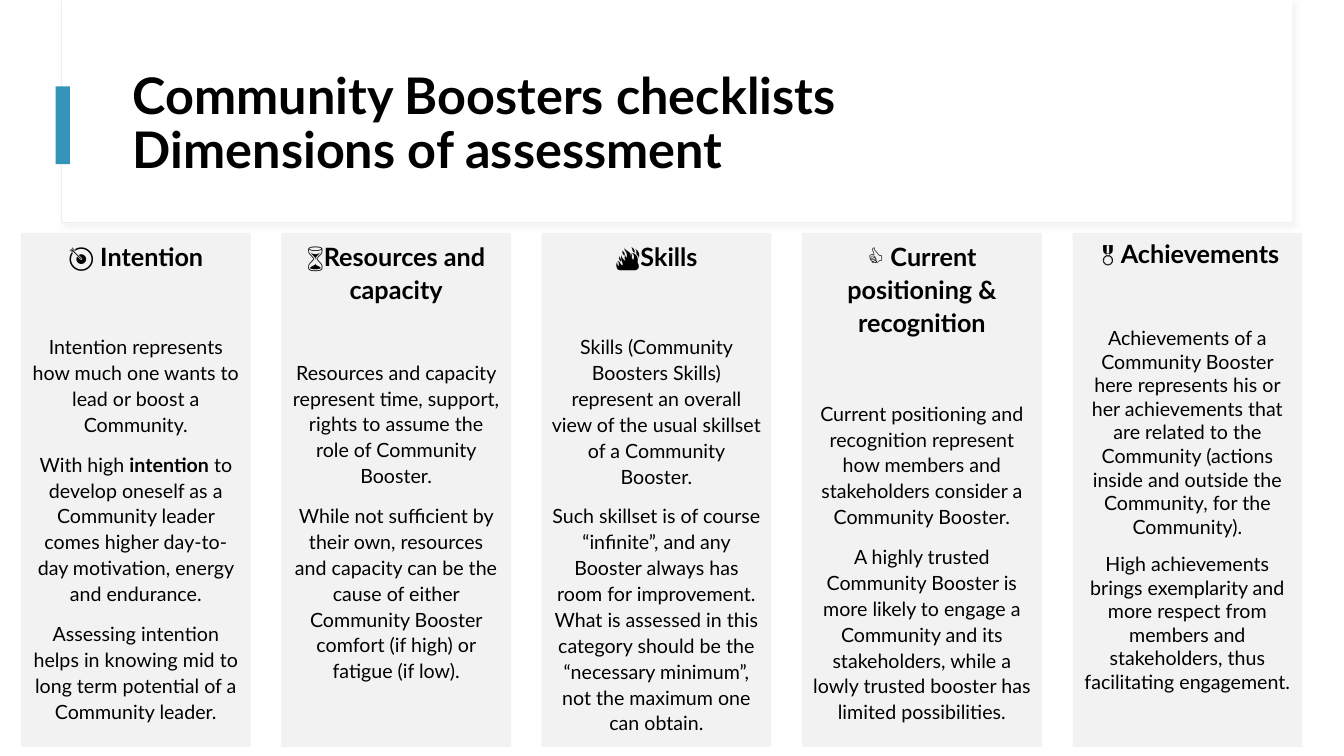
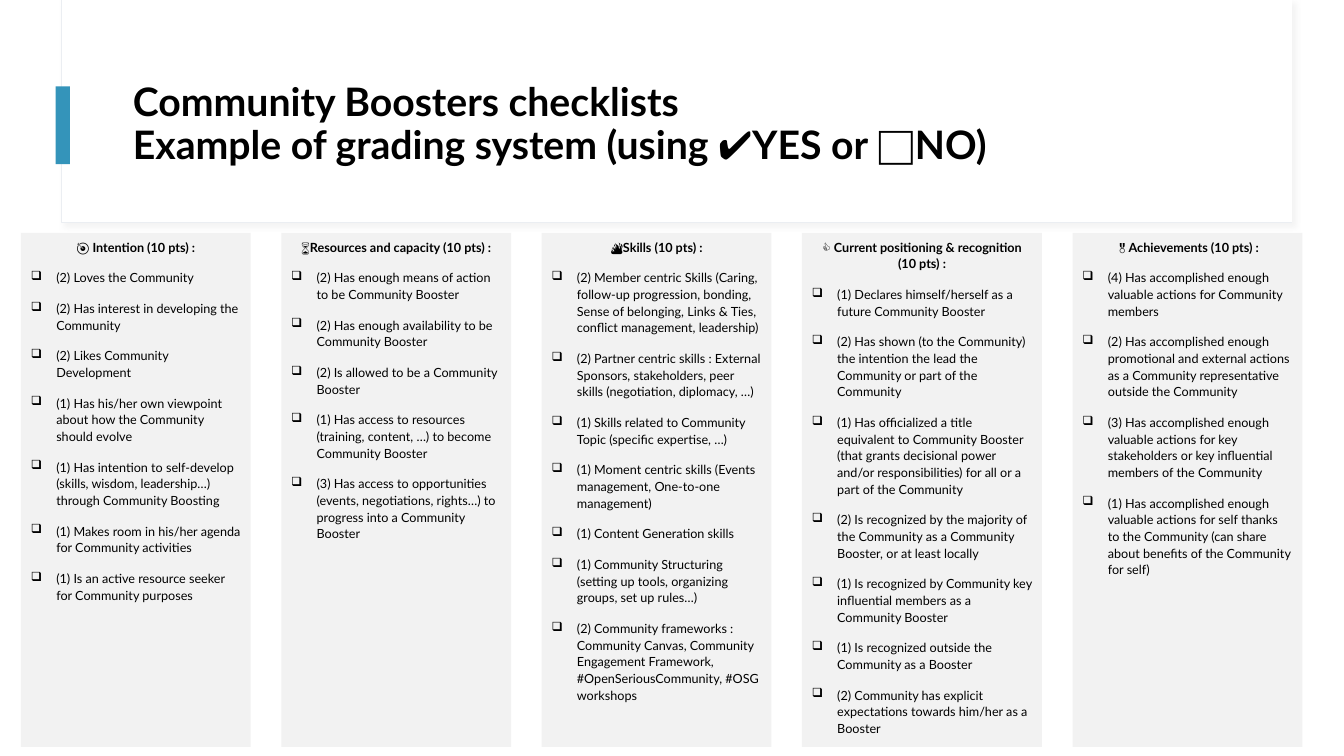
from dataclasses import dataclass

from lxml import etree
from pptx import Presentation
from pptx import util as u
from pptx.dml.color import RGBColor
from pptx.enum import shapes, text
from pptx.oxml import ns

FONT = "Lato"
BLACK = RGBColor(0x00, 0x00, 0x00)
WHITE = RGBColor(0xFF, 0xFF, 0xFF)
ACCENT = RGBColor(0x34, 0x94, 0xBA)
PANEL = RGBColor(0xF2, 0xF2, 0xF2)
FRAME = RGBColor(0xEB, 0xEE, 0xF2)
SHADOW = RGBColor(0xD9, 0xD9, 0xD9)

# Column grid, in centimetres
COLUMN_LEFT, COLUMN_TOP, COLUMN_HEIGHT, COLUMN_GAP = 0.53, 5.87, 12.95, 0.77
BULLET_INDENT = u.Cm(0.64)
PARAGRAPH_GAP = 10


@dataclass
class Dimension:
    heading: str
    description: list  # **double stars** mark bold words
    criteria: list
    width: float = 5.79
    heading_gap: float = 44
    line_spacing: float = 1.1


DIMENSIONS = [
    Dimension(
        "🎯 Intention",
        [
            "Intention represents how much one wants to lead or boost a Community.",
            "With high **intention** to develop oneself as a Community leader comes "
            "higher day-to-day motivation, energy and endurance.",
            "Assessing intention helps in knowing mid to long term potential of a "
            "Community leader.",
        ],
        [
            "(2) Loves the Community",
            "(2) Has interest in developing the Community",
            "(2) Likes Community Development",
            "(1) Has his/her own viewpoint about how the Community should evolve",
            "(1) Has intention to self-develop (skills, wisdom, leadership…) through "
            "Community Boosting",
            "(1) Makes room in his/her agenda for Community activities",
            "(1) Is an active resource seeker for Community purposes",
        ],
    ),
    Dimension(
        "⌛Resources and capacity",
        [
            "Resources and capacity represent time, support, rights to assume the "
            "role of Community Booster.",
            "While not sufficient by their own, resources and capacity can be the "
            "cause of either Community Booster comfort (if high) or fatigue (if low).",
        ],
        [
            "(2) Has enough means of action to be Community Booster",
            "(2) Has enough availability to be Community Booster",
            "(2) Is allowed to be a Community Booster",
            "(1) Has access to resources (training, content, …) to become "
            "Community Booster",
            "(3) Has access to opportunities (events, negotiations, rights…) to "
            "progress into a Community Booster",
        ],
        heading_gap=38.5,
    ),
    Dimension(
        "🔥Skills",
        [
            "Skills (Community Boosters Skills) represent an overall view of the "
            "usual skillset of a Community Booster.",
            "Such skillset is of course “infinite”, and any Booster always has room "
            "for improvement. What is assessed in this category should be the "
            "“necessary minimum”, not the maximum one can obtain.",
        ],
        [
            "(2) Member centric Skills (Caring, follow-up progression, bonding, "
            "Sense of belonging, Links & Ties, conflict management, leadership)",
            "(2) Partner centric skills : External Sponsors, stakeholders, peer "
            "skills (negotiation, diplomacy, …)",
            "(1) Skills related to Community Topic (specific expertise, …)",
            "(1) Moment centric skills (Events management, One-to-one management)",
            "(1) Content Generation skills",
            "(1) Community Structuring (setting up tools, organizing groups, "
            "set up rules…)",
            "(2) Community frameworks : Community Canvas, Community Engagement "
            "Framework, #OpenSeriousCommunity, #OSG workshops",
        ],
    ),
    Dimension(
        "👍 Current positioning & recognition",
        [
            "Current positioning and recognition represent how members and "
            "stakeholders consider a Community Booster.",
            "A highly trusted Community Booster is more likely to engage a Community "
            "and its stakeholders, while a lowly trusted booster has limited "
            "possibilities.",
        ],
        [
            "(1) Declares himself/herself as a future Community Booster",
            "(2) Has shown (to the Community) the intention the lead the Community "
            "or part of the Community",
            "(1) Has officialized a title equivalent to Community Booster (that "
            "grants decisional power and/or responsibilities) for all or a part of "
            "the Community",
            "(2) Is recognized by the majority of the Community as a Community "
            "Booster, or at least locally",
            "(1) Is recognized by Community key influential members as a Community "
            "Booster",
            "(1) Is recognized outside the Community as a Booster",
            "(2) Community has explicit expectations towards him/her as a Booster",
        ],
        width=6.05,
    ),
    Dimension(
        "🎖️Achievements",
        [
            "Achievements of a Community Booster here represents his or her "
            "achievements that are related to the Community (actions inside and "
            "outside the Community, for the Community).",
            "High achievements brings exemplarity and more respect from members and "
            "stakeholders, thus facilitating engagement.",
        ],
        [
            "(4) Has accomplished enough valuable actions for Community members",
            "(2) Has accomplished enough promotional and external actions as a "
            "Community representative outside the Community",
            "(3) Has accomplished enough valuable actions for key stakeholders or "
            "key influential members of the Community",
            "(1) Has accomplished enough valuable actions for self thanks to the "
            "Community (can share about benefits of the Community for self)",
        ],
        heading_gap=41.5,
        line_spacing=1.0,
    ),
]


class Deck:
    def __init__(self):
        self.presentation = Presentation()
        self.presentation.slide_width = u.Cm(33.87)
        self.presentation.slide_height = u.Cm(19.05)
        self.slide = None

    def add_slide(self, title, title_size):
        self.slide = self.presentation.slides.add_slide(
            self.presentation.slide_layouts[6])
        # Header frame and accent bar
        frame = self.rectangle(1.55, 0, 31.01, 5.61, WHITE, FRAME)
        self.soft_shadow(frame)
        self.rectangle(1.57, 0, 30.99, 5.59, WHITE)
        self.rectangle(1.4, 2.18, 0.36, 1.96, ACCENT)
        self.title(title, title_size)

    def rectangle(self, left, top, width, height, fill, line=None):
        shape = self.slide.shapes.add_shape(
            shapes.MSO_SHAPE.RECTANGLE,
            u.Cm(left), u.Cm(top), u.Cm(width), u.Cm(height))
        shape.shadow.inherit = False
        shape.fill.solid()
        shape.fill.fore_color.rgb = fill
        if line is None:
            shape.line.fill.background()
        else:
            shape.line.color.rgb = line
            shape.line.width = u.Pt(0.75)
        return shape

    def soft_shadow(self, shape):
        effects = shape._element.spPr.find(ns.qn("a:effectLst"))
        outer = etree.SubElement(
            effects, ns.qn("a:outerShdw"), blurRad=str(u.Pt(4)),
            dist=str(u.Pt(3)), dir="2700000", algn="tl", rotWithShape="0")
        color = etree.SubElement(outer, ns.qn("a:srgbClr"), val=str(SHADOW))
        etree.SubElement(color, ns.qn("a:alpha"), val="30000")

    def title(self, wording, size):
        box = self.slide.shapes.add_textbox(
            u.Cm(3.1), u.Cm(1.52), u.Cm(28.24), u.Cm(3.28))
        frame = box.text_frame
        frame.word_wrap = True
        frame.vertical_anchor = text.MSO_ANCHOR.MIDDLE
        frame.text = wording
        for paragraph in frame.paragraphs:
            paragraph.line_spacing = 0.9
            self.style_runs(paragraph, size, True)

    def style_runs(self, paragraph, size, bold=False):
        for run in paragraph.runs:
            run.font.name = FONT
            run.font.size = u.Pt(size)
            run.font.bold = bold
            run.font.color.rgb = BLACK

    def bullet(self, paragraph):
        properties = paragraph._p.get_or_add_pPr()
        properties.set("marL", str(BULLET_INDENT))
        properties.set("indent", str(-BULLET_INDENT))
        etree.SubElement(properties, ns.qn("a:buChar"), char="❑")

    def write_with_bold(self, paragraph, wording, size):
        pieces = wording.split("**")
        paragraph.text = pieces[0]
        for piece in pieces[1:]:
            paragraph.add_run().text = piece
        self.style_runs(paragraph, size)
        for run in paragraph.runs[1::2]:
            run.font.bold = True

    def column(self, left, width, heading, heading_size, items, size,
               heading_gap=PARAGRAPH_GAP, line_spacing=1.1, bulleted=False):
        panel = self.rectangle(left, COLUMN_TOP, width, COLUMN_HEIGHT, PANEL)
        frame = panel.text_frame
        frame.word_wrap = True
        frame.vertical_anchor = text.MSO_ANCHOR.TOP
        # Heading
        paragraph = frame.paragraphs[0]
        paragraph.text = heading
        paragraph.alignment = text.PP_ALIGN.CENTER
        paragraph.line_spacing = line_spacing
        self.style_runs(paragraph, heading_size, True)
        # Body
        for index, item in enumerate(items):
            paragraph = frame.add_paragraph()
            paragraph.line_spacing = line_spacing
            paragraph.space_before = u.Pt(PARAGRAPH_GAP if index else heading_gap)
            if bulleted:
                paragraph.alignment = text.PP_ALIGN.LEFT
                self.bullet(paragraph)
            else:
                paragraph.alignment = text.PP_ALIGN.CENTER
            self.write_with_bold(paragraph, item, size)


def placed_dimensions():
    left = COLUMN_LEFT
    for dimension in DIMENSIONS:
        yield left, dimension
        left += dimension.width + COLUMN_GAP


def main():
    deck = Deck()

    # Dimensions of assessment
    deck.add_slide("Community Boosters checklists\vDimensions of assessment", 36)
    for left, dimension in placed_dimensions():
        deck.column(left, dimension.width, dimension.heading, 18,
                    dimension.description, 14,
                    dimension.heading_gap, dimension.line_spacing)

    # Grading system
    deck.add_slide("Community Boosters checklists\v"
                   "Example of grading system (using ✔️YES or ⬜NO)", 28)
    for left, dimension in placed_dimensions():
        deck.column(left, dimension.width, f"{dimension.heading} (10 pts) :", 9,
                    dimension.criteria, 9, bulleted=True)

    deck.presentation.save("out.pptx")


if __name__ == "__main__":
    main()
